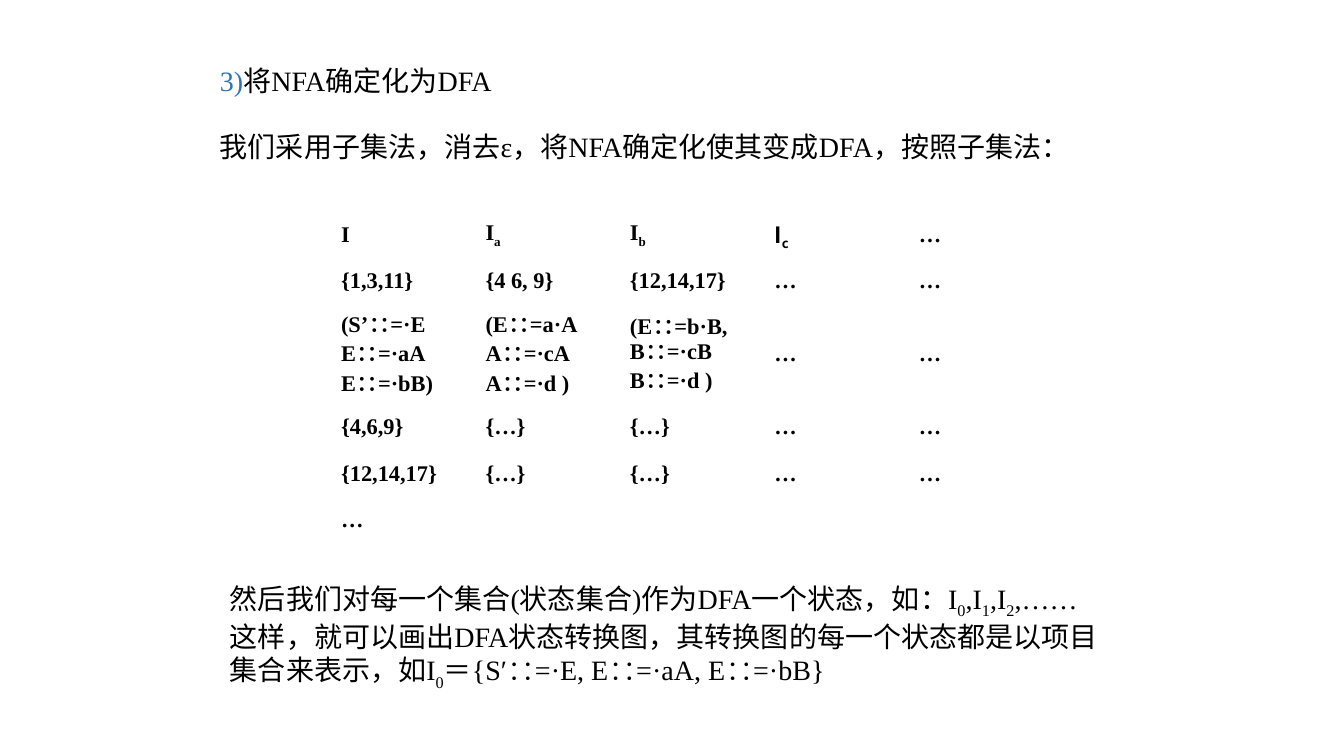
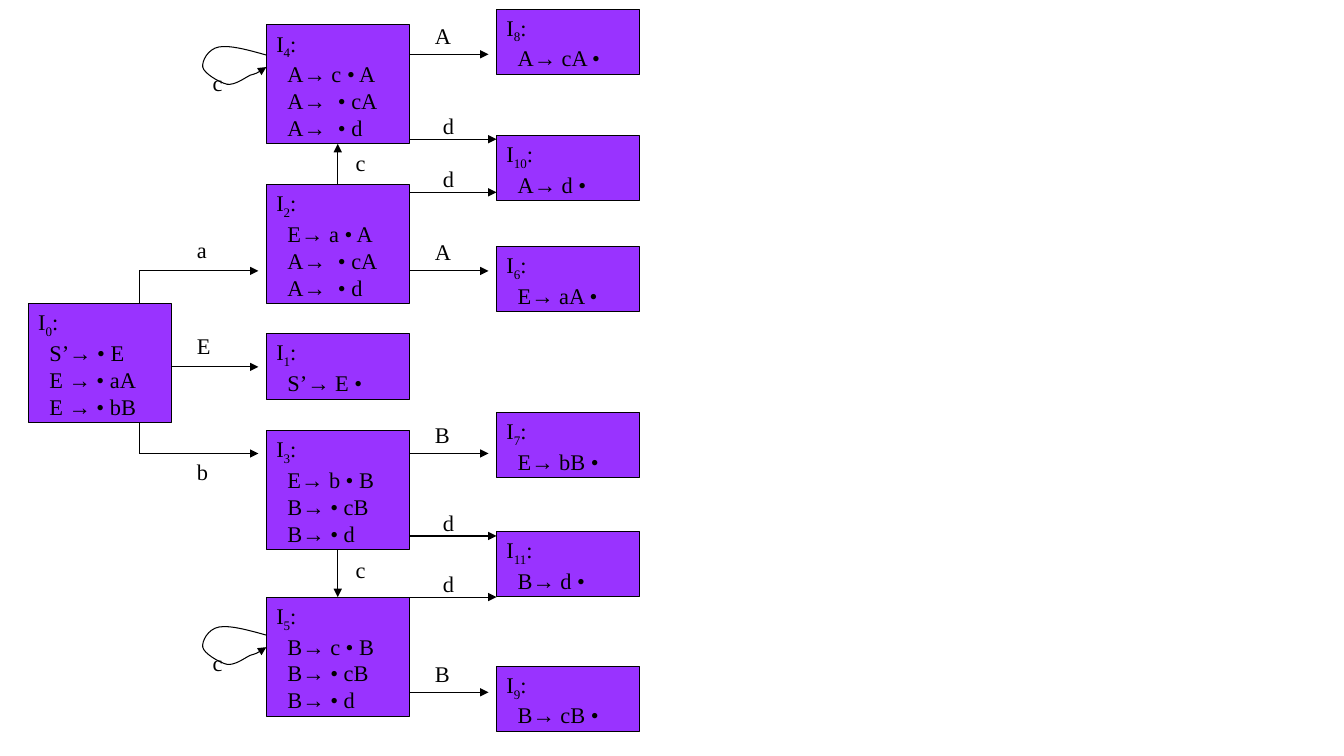
from lxml import etree
from pptx import Presentation
from pptx import util as u
from pptx.dml.color import RGBColor
from pptx.enum import shapes, text
from pptx.oxml.ns import qn

COLORS = {"ink": "000000", "accent": "2E75B6", "state": "9933FF"}
LATIN, CJK = "Times New Roman", "Noto Sans CJK SC"
WIDTH, HEIGHT = u.Inches(13.33), u.Inches(7.5)
COL, ROW = WIDTH / 160, HEIGHT / 90


def rgb(name):
    return RGBColor.from_string(COLORS[name])


def grid(left, top, width, height):
    """Turn columns and rows of the slide grid into lengths."""
    return int(left * COL), int(top * ROW), int(width * COL), int(height * ROW)


# Text
def set_font(font, size, name=LATIN, bold=False):
    font.size, font.name, font.bold = u.Pt(size), name, bold
    font.color.rgb = rgb("ink")


def write(p, content, size, name=LATIN, bold=False):
    """Write a paragraph; text between underscores is subscript."""
    set_font(p.font, size, name, bold)
    p.alignment = text.PP_ALIGN.LEFT
    for i, part in enumerate(content.split("_")):
        if part:
            r = p.add_run()
            r.text = part
            if i % 2:
                r._r.get_or_add_rPr().set("baseline", "-25000")


def fill_frame(tf, lines, size, before=0, name=LATIN, bold=False):
    tf.word_wrap = True
    for i, line in enumerate(lines):
        p = tf.add_paragraph() if i else tf.paragraphs[0]
        if i and before:
            p.space_before = u.Pt(before)
        write(p, line, size, name, bold)


def text_box(slide, box, lines, size, before=0):
    tf = slide.shapes.add_textbox(*box).text_frame
    fill_frame(tf, lines, size, before)
    return tf


# Lines
def style_line(line, arrow=False):
    line.color.rgb = rgb("ink")
    line.width = u.Pt(0.75)
    if arrow:
        etree.SubElement(line._get_or_add_ln(), qn("a:tailEnd"), type="triangle")


def connect(slide, start, end, arrow=True):
    c = slide.shapes.add_connector(shapes.MSO_CONNECTOR.STRAIGHT, *start, *end)
    style_line(c.line, arrow)
    etree.SubElement(c._element.spPr, qn("a:effectLst"))
    return c


# Subset table
SUBSETS = [
    ["I", "I_a_", "I_b_", "I_c_", "…"],
    ["{1,3,11}", "{4 6, 9}", "{12,14,17}", "…", "…"],
    ["(S’∷=·E\nE∷=·aA\nE∷=·bB)", "(E∷=a·A\nA∷=·cA\nA∷=·d )",
     "(E∷=b·B, B∷=·cB\nB∷=·d )", "…", "…"],
    ["{4,6,9}", "{…}", "{…}", "…", "…"],
    ["{12,14,17}", "{…}", "{…}", "…", "…"],
    ["…", "", "", "", ""],
]
ROW_SHARES = [0.14, 0.14, 0.3, 0.14, 0.14, 0.14]


def subset_table(slide, box):
    table = slide.shapes.add_table(len(SUBSETS), len(SUBSETS[0]), *box).table
    table.first_row = table.horz_banding = False
    for r, (row, share) in enumerate(zip(SUBSETS, ROW_SHARES)):
        table.rows[r].height = int(box[3] * share)
        for c, content in enumerate(row):
            cell = table.cell(r, c)
            cell.fill.background()
            cell.vertical_anchor = text.MSO_ANCHOR.MIDDLE
            name = CJK if content == "I_c_" else LATIN
            fill_frame(cell.text_frame, content.split("\n"), 16, 3.2, name, True)


def subset_slide(slide):
    tf = text_box(slide, grid(25, 7, 111, 13.2), [
        "3)", "我们采用子集法，消去ε，将NFA确定化使其变成DFA，按照子集法："], 20, 23)
    heading = tf.paragraphs[0]
    heading.runs[0].font.color.rgb = rgb("accent")
    heading.add_run().text = "将NFA确定化为DFA"
    subset_table(slide, grid(39.4, 25.2, 86, 39.4))
    text_box(slide, grid(26.2, 68.6, 108.7, 13.2), [
        "然后我们对每一个集合(状态集合)作为DFA一个状态，如：I_0_,I_1_,I_2_,……",
        "这样，就可以画出DFA状态转换图，其转换图的每一个状态都是以项目"
        "集合来表示，如I_0_＝{S′∷=·E, E∷=·aA, E∷=·bB}"], 20)


# State diagram, in steps of its own grid: 77 steps across
STEPS = 77
COLUMNS = [0, 30, 59]
STATE_W, TALL, SHORT = 18, 15, 8.25
STATES = {  # number: (column, top, items)
    0: (0, 37.1, ["S’→ • E", "E → • aA", "E → • bB"]),
    1: (1, 40.9, ["S’→ E •"]),
    2: (1, 22.1, ["E→ a • A", "A→\t• cA", "A→\t• d"]),
    3: (1, 53.1, ["E→ b • B", "B→ • cB", "B→ • d"]),
    4: (1, 2, ["A→ c • A", "A→\t• cA", "A→\t• d"]),
    5: (1, 74.1, ["B→ c • B", "B→ • cB", "B→ • d"]),
    6: (2, 29.9, ["E→ aA •"]),
    7: (2, 50.8, ["E→ bB •"]),
    8: (2, 0, ["A→ cA •"]),
    9: (2, 82.8, ["B→ cB •"]),
    10: (2, 15.9, ["A→ d •"]),
    11: (2, 65.8, ["B→ d •"]),
}
# Symbol, start, end, height, label offset from the second column's edge
ARROWS = [("E", 18, 29, 45.1, 20, -5), ("a", 14, 29, 33, 20, -5),
          ("b", 14, 29, 56, 20, 0)]
ARROWS += [(s, 48, 58, y, 50, -4.7)
           for s, y in [("A", 5.7), ("A", 33), ("B", 56), ("B", 86.1)]]
ARROWS += [("d", 48, 59, y, 51, -4.05) for y in [16.4, 23.1, 66.4, 74.1]]
RISERS = [(37.1, 33), (52.1, 56)]
LOOP = [(-2.29, -0.64), (-4.57, -1.27), (-5.97, -1.02),
        (-7.37, -0.76), (-8.13, 0.76), (-8, 1.52),
        (-7.87, 2.29), (-5.97, 3.43), (-4.95, 3.68),
        (-3.94, 3.81), (-2.79, 2.92), (-2.03, 2.54),
        (-1.14, 2.29), (-0.51, 1.9), (0, 1.52)]


def state_box(slide, box, number, items):
    sp = slide.shapes.add_shape(shapes.MSO_SHAPE.RECTANGLE, *box)
    sp.shadow.inherit = False
    sp.fill.solid()
    sp.fill.fore_color.rgb = rgb("state")
    style_line(sp.line)
    tf = sp.text_frame
    tf.vertical_anchor = text.MSO_ANCHOR.TOP
    fill_frame(tf, [f"I_{number}_:"] + items, 16)
    for p in tf.paragraphs[1:]:
        pPr = p._p.get_or_add_pPr()
        pPr.set("marL", str(u.Pt(8)))
        pPr.set("indent", "0")
        if "\t" in p.text:
            tabs = etree.Element(qn("a:tabLst"))
            etree.SubElement(tabs, qn("a:tab"), pos=str(u.Inches(0.6)), algn="l")
            pPr.insert(0, tabs)
    return sp


def self_loop(slide, points):
    """Draw one curve; each three points after the first make a Bézier."""
    builder = slide.shapes.build_freeform(*points[0])
    builder.add_line_segments(points[1:], close=False)
    sp = builder.convert_to_shape()
    sp.shadow.inherit = False
    sp.fill.background()
    style_line(sp.line, True)
    lines = sp._element.findall(".//" + qn("a:lnTo"))
    for i in range(0, len(lines), 3):
        curve = etree.Element(qn("a:cubicBezTo"))
        lines[i].addprevious(curve)
        for line in lines[i:i + 3]:
            curve.append(line[0])
            line.getparent().remove(line)


def state_diagram(slide, box):
    left, top, width, _ = box
    step = width / STEPS

    def at(x, y):
        return int(left + x * step), int(top + y * step)

    def label(symbol, x, y):
        text_box(slide, (*at(x, y), int(5 * step), int(4.7 * step)), [symbol], 16)

    # States
    states = {}
    for number, (column, y, items) in STATES.items():
        height = TALL if len(items) > 1 else SHORT
        size = int(STATE_W * step), int(height * step)
        states[number] = state_box(
            slide, (*at(COLUMNS[column], y), *size), number, items)

    # Moves to the right
    for symbol, x1, x2, y, label_x, dy in ARROWS:
        connect(slide, at(x1, y), at(x2, y))
        label(symbol, label_x, y + dy)
    for y1, y2 in RISERS:
        connect(slide, at(14, y1), at(14, y2), arrow=False)

    # Moves up and down
    for source, target, side, label_y in [(2, 4, 0, 17), (3, 5, 2, 68.3)]:
        c = connect(slide, at(39, label_y), at(39, label_y))
        c.begin_connect(states[source], side)
        c.end_connect(states[target], 2 - side)
        label("c", 40, label_y)

    # Moves back to the same state
    for y in [5.8, 78.9]:
        self_loop(slide, [at(30 + dx, y + dy) for dx, dy in [(0, 0)] + LOOP])
        label("c", 22, y + 1.1)


def main():
    prs = Presentation()
    prs.slide_width, prs.slide_height = WIDTH, HEIGHT
    blank = prs.slide_layouts[6]
    subset_slide(prs.slides.add_slide(blank))
    state_diagram(prs.slides.add_slide(blank), grid(3.36, 1.08, 72.76, 86.04))
    prs.save("out.pptx")


if __name__ == "__main__":
    main()
